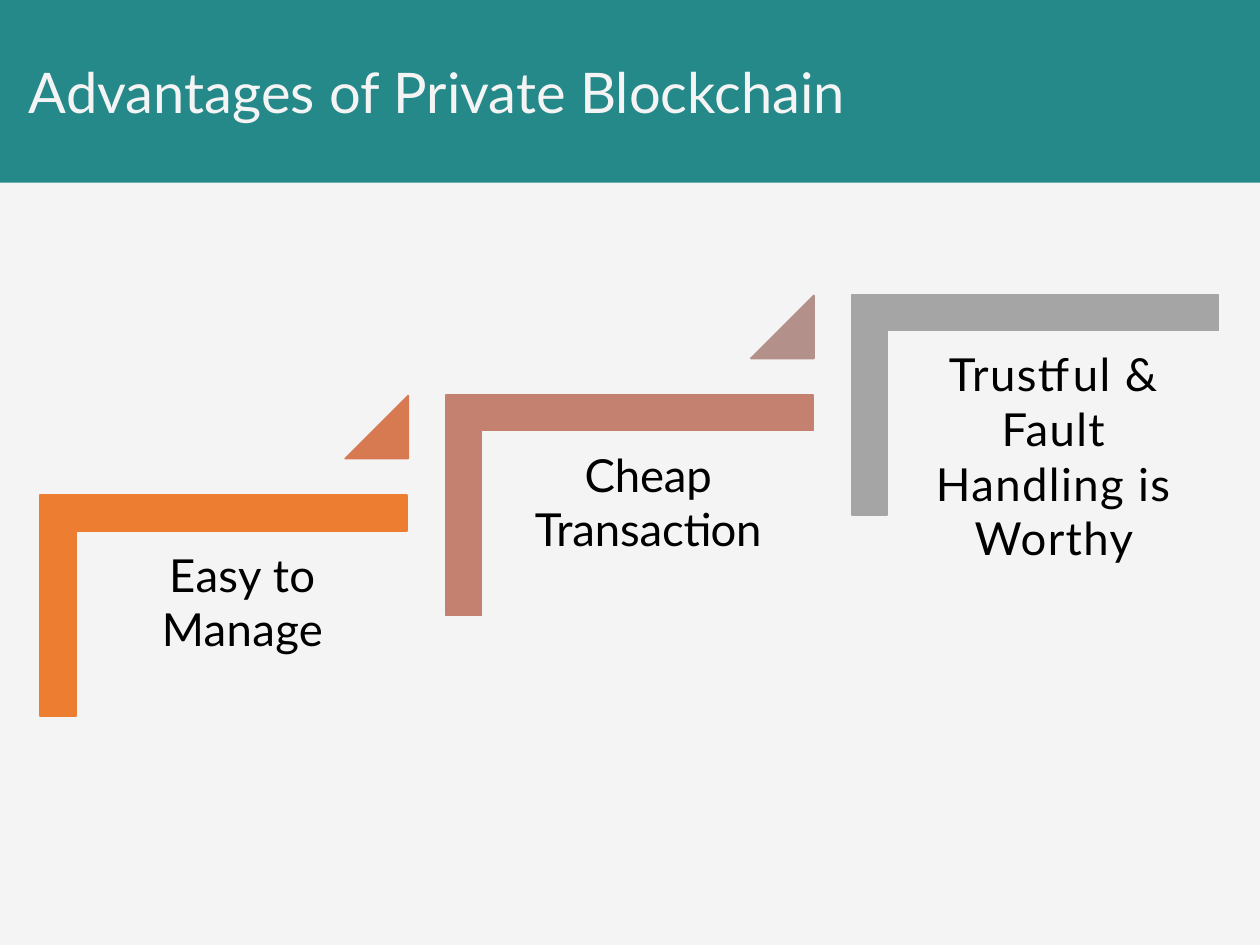
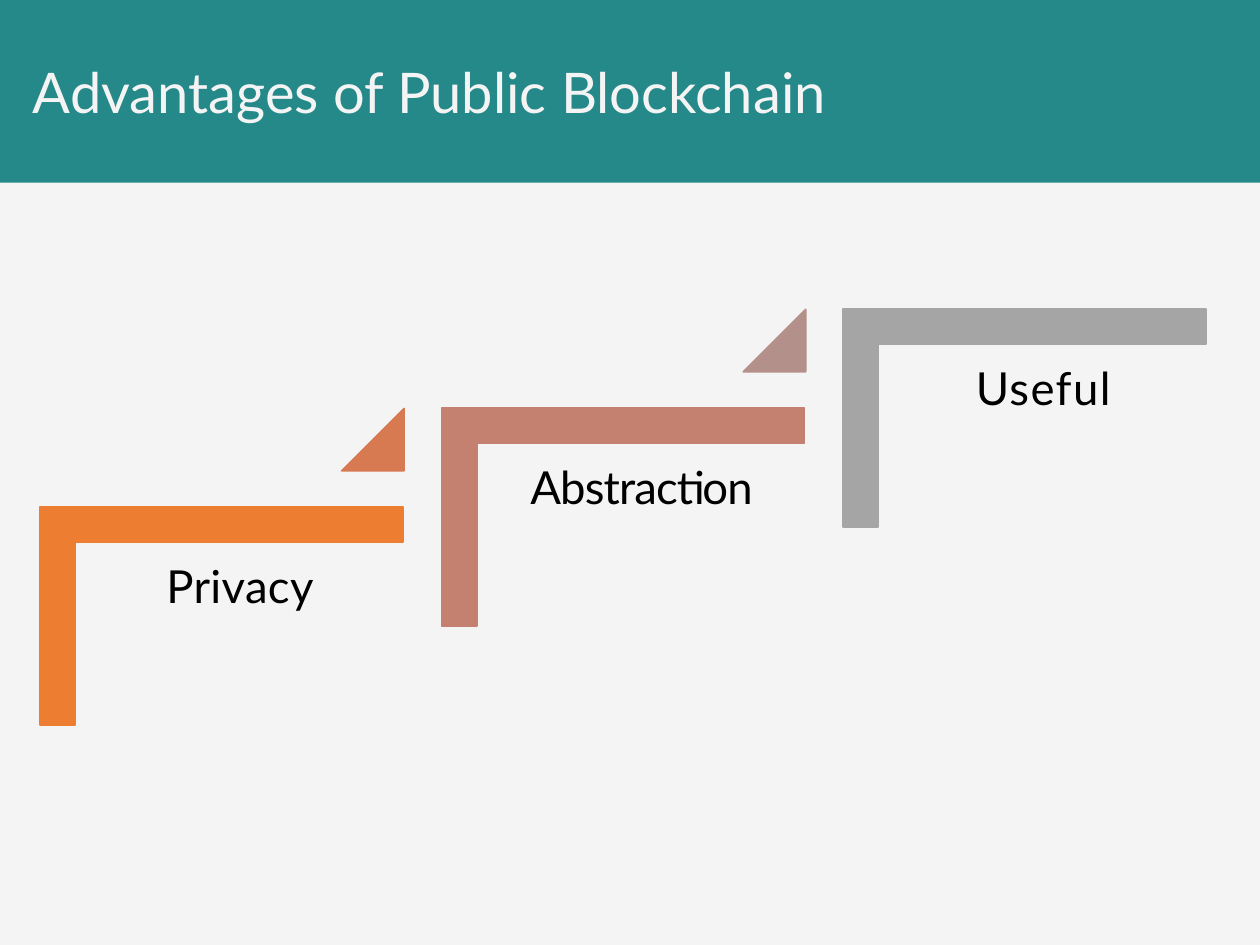
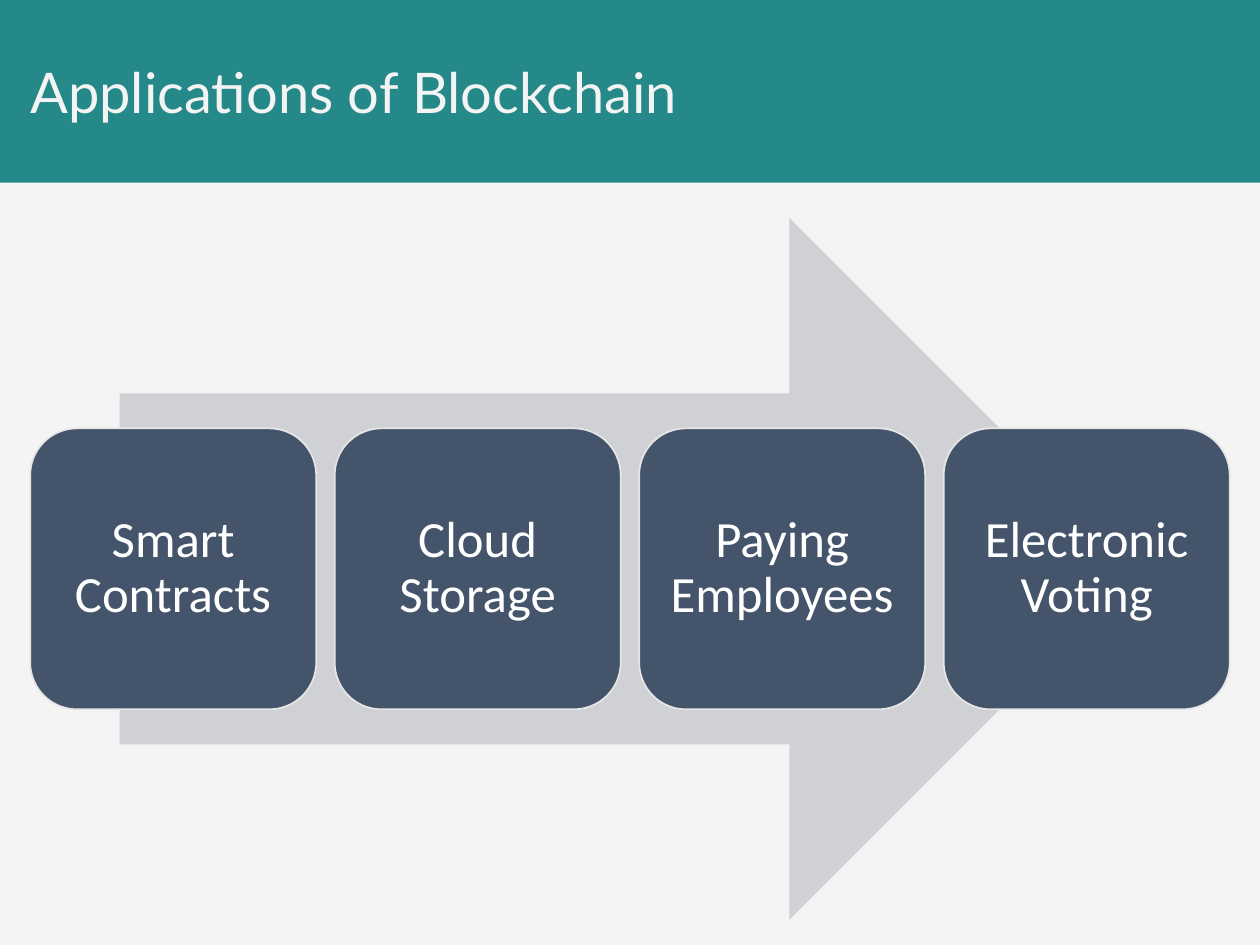
from pptx import Presentation
from pptx.dml.color import RGBColor
from pptx.enum.shapes import MSO_SHAPE
from pptx.enum.text import MSO_ANCHOR, MSO_AUTO_SIZE, PP_ALIGN
from pptx.util import Inches, Pt

# Content: title, title left and width, then what the slide shows
STAIR_SLIDES = [
    {"title": "Advantages of Private Blockchain", "title_span": (0.13, 9.65),
     "steps": ["Easy to Manage", "Cheap Transaction", "Trustful & Fault Handling is Worthy"],
     "spacing": (0.2, -0.1, 0.8), "start": (0.9, 3.35), "scale": 1},
    {"title": "Advantages of Public Blockchain", "title_span": (0.16, 9.59),
     "steps": ["Privacy", "Abstraction", "Useful"],
     "spacing": (0.2, -0.5, 0.8), "start": (0.89, 3.45), "scale": 0.99},
]
APPLICATIONS = {"title": "Applications of Blockchain", "title_span": (0.14, 9.52),
                "tiles": ["Smart Contracts", "Cloud Storage", "Paying Employees",
                          "Electronic Voting"]}

# Shared look
PAPER, TEAL, BLACK, WHITE = "F4F4F5", "258989", "000000", "FFFFFF"
SLATE, TILE_EDGE, ARROW_GREY = "44546A", "E7E6E6", "CFD1D4"
STEP_COLOURS = ["ED7D31", "C48170", "A5A5A5"]
TRIANGLE_COLOURS = ["D87A51", "B4908B"]
BAND_HEIGHT = 1.45
TITLE_FONT = {"name": "Lato", "size": Pt(32)}
STEP_FONT = {"name": "Lato", "size": Pt(26)}
TILE_FONT = {"name": "Calibri", "size": Pt(29)}

# Staircase measures at full scale; offsets count from the unrotated corner shape
STEP_MOVE = (3.22, -0.795)
CORNER_SIZE, CORNER_THICKNESS = (1.75, 2.91), 0.161
LABEL_OFFSET, LABEL_SIZE = (-0.29, 0.88), (2.63, 2.31)
TRIANGLE_OFFSET, TRIANGLE_SIZE = (1.84, -0.21), (0.5, 0.5)

# Tile row
ROW_LEFT, ROW_RIGHT, TILE_TOP, TILE_SIZE = 0.24, 9.76, 3.4, (2.27, 2.23)


def colour(hex_text):
    return RGBColor.from_string(hex_text)


def add_figure(page, kind, position, size, fill, edge=None, adjustments=()):
    figure = page.shapes.add_shape(kind, *map(Inches, (*position, *size)))
    figure.shadow.inherit = False
    figure.fill.solid()
    figure.fill.fore_color.rgb = colour(fill)
    if edge:
        figure.line.color.rgb = colour(edge)
        figure.line.width = Pt(1)
    else:
        figure.line.fill.background()
    for index, value in enumerate(adjustments):
        figure.adjustments[index] = value
    return figure


def write(box, text, font, ink, align, anchor, inset=None, line_spacing=None):
    frame = box.text_frame
    settings = {"word_wrap": True, "auto_size": MSO_AUTO_SIZE.NONE, "vertical_anchor": anchor}
    if inset is not None:
        for side in ("left", "top", "right", "bottom"):
            settings[f"margin_{side}"] = Inches(inset)
    for name, value in settings.items():
        setattr(frame, name, value)
    para = frame.paragraphs[0]
    para.alignment = align
    if line_spacing:
        para.line_spacing = line_spacing
    span = para.add_run()
    span.text = text
    for name, value in font.items():
        setattr(span.font, name, value)
    span.font.color.rgb = colour(ink)
    return span


def add_page(deck, content):
    page = deck.slides.add_slide(deck.slide_layouts[5])
    title = page.shapes.title
    left, width = content["title_span"]
    place = {"left": left, "top": 0, "width": width, "height": BAND_HEIGHT}
    for name, value in place.items():
        setattr(title, name, Inches(value))
    write(title, content["title"], TITLE_FONT, PAPER, PP_ALIGN.JUSTIFY, MSO_ANCHOR.MIDDLE)
    return page


def style_layout(layout, page):
    """Give the layout its background and the band behind every title."""
    layout.background.fill.solid()
    layout.background.fill.fore_color.rgb = colour(PAPER)
    band = add_figure(page, MSO_SHAPE.RECTANGLE, (0, 0), (10, BAND_HEIGHT), TEAL)
    layout.shapes.element.insert(2, band.element)


def add_staircase(page, content):
    scale = content["scale"]

    def scaled(pair):
        return [value * scale for value in pair]

    def shifted(origin, offset, times=1):
        return [base + move * times for base, move in zip(origin, scaled(offset))]

    for index, (text, spacing) in enumerate(zip(content["steps"], content["spacing"])):
        origin = shifted(content["start"], STEP_MOVE, index)
        # Corner bracket
        fill = STEP_COLOURS[index]
        corner = add_figure(page, MSO_SHAPE.CORNER, origin, scaled(CORNER_SIZE), fill, fill,
                            (CORNER_THICKNESS, CORNER_THICKNESS))
        corner.rotation = 90
        # Label
        place = (*shifted(origin, LABEL_OFFSET), *scaled(LABEL_SIZE))
        label = page.shapes.add_textbox(*map(Inches, place))
        span = write(label, text, STEP_FONT, BLACK, PP_ALIGN.CENTER, MSO_ANCHOR.TOP, 0.11)
        span._r.get_or_add_rPr().set("spc", str(round(spacing * 100)))
        # Triangle leading up to the next step
        if index < len(TRIANGLE_COLOURS):
            fill = TRIANGLE_COLOURS[index]
            add_figure(page, MSO_SHAPE.ISOSCELES_TRIANGLE, shifted(origin, TRIANGLE_OFFSET),
                       scaled(TRIANGLE_SIZE), fill, fill, (1,))


def add_tile_row(page, tiles):
    add_figure(page, MSO_SHAPE.RIGHT_ARROW, (0.95, 1.73), (8.1, 5.57), ARROW_GREY)
    pitch = (ROW_RIGHT - ROW_LEFT - TILE_SIZE[0]) / (len(tiles) - 1)
    for index, text in enumerate(tiles):
        tile = add_figure(page, MSO_SHAPE.ROUNDED_RECTANGLE,
                          (ROW_LEFT + index * pitch, TILE_TOP), TILE_SIZE, SLATE, TILE_EDGE)
        write(tile, text, TILE_FONT, WHITE, PP_ALIGN.CENTER, MSO_ANCHOR.MIDDLE, 0.12, 0.9)


def main():
    deck = Presentation()
    deck.slide_width, deck.slide_height = Inches(10), Inches(7.5)
    for content in STAIR_SLIDES:
        add_staircase(add_page(deck, content), content)
    page = add_page(deck, APPLICATIONS)
    add_tile_row(page, APPLICATIONS["tiles"])
    style_layout(page.slide_layout, page)
    deck.save("out.pptx")


if __name__ == "__main__":
    main()
